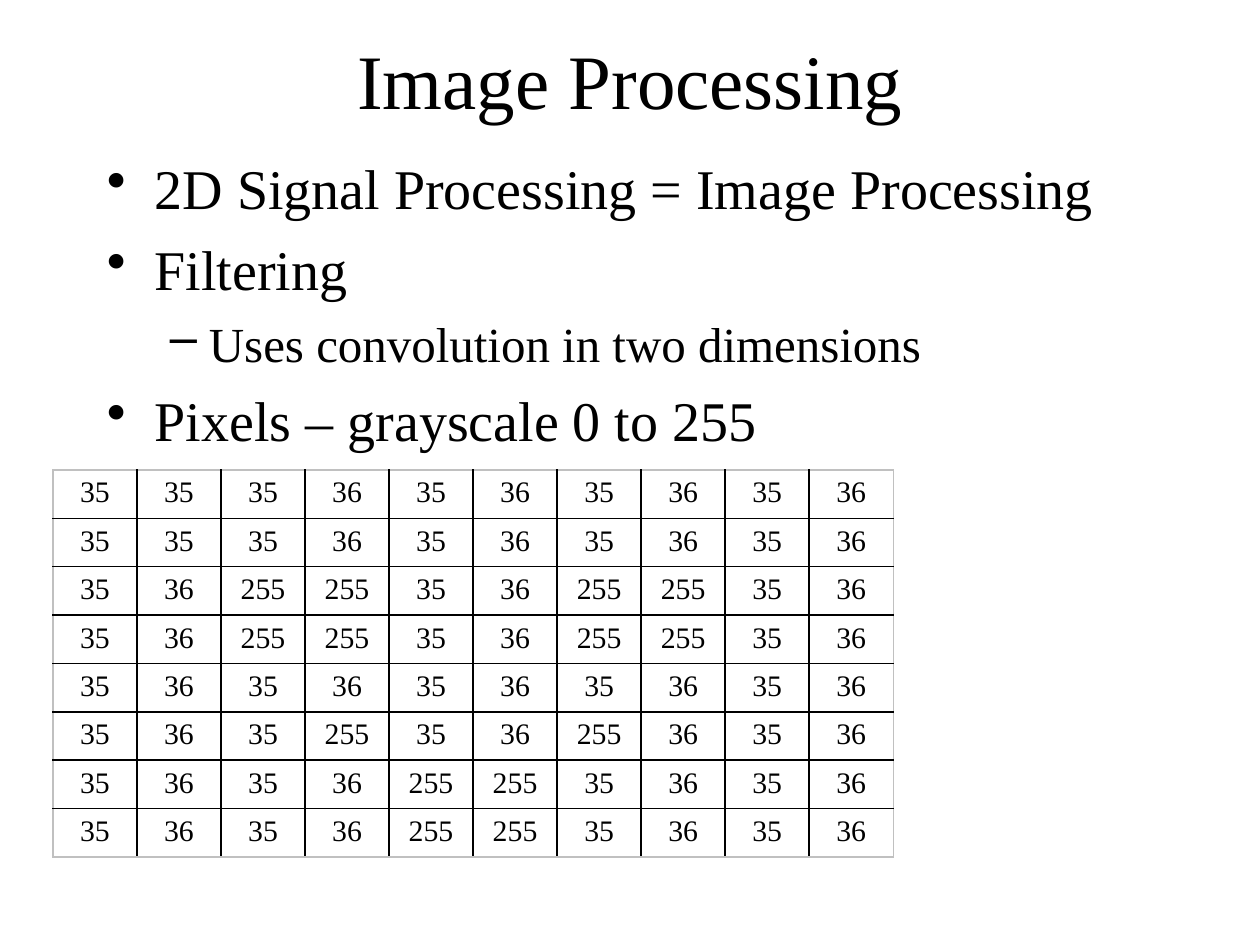
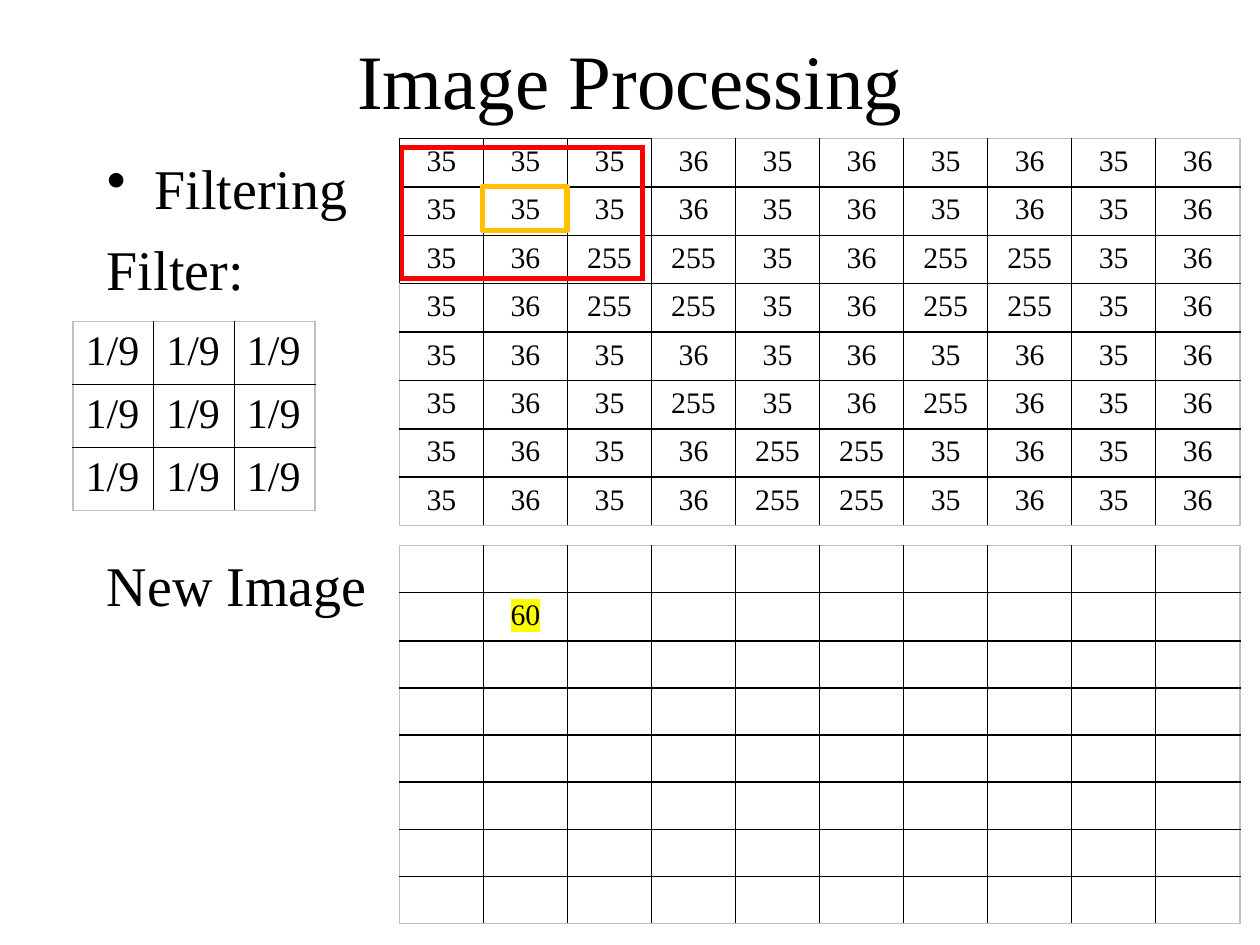
import pptx
import pptx.dml.color
import pptx.enum.shapes
import pptx.enum.text
import pptx.oxml
import pptx.oxml.ns
import pptx.util
from pptx.util import Inches

FONT = "Times New Roman"
BLACK, GRAY, RED, AMBER, YELLOW = "000000", "C0C0C0", "FF0000", "FFC000", "FFFF00"
CENTER = pptx.enum.text.PP_ALIGN.CENTER
LEFT = pptx.enum.text.PP_ALIGN.LEFT

TITLE = "Image Processing"
# Bullet, left margin, hanging indent, size
LEVELS = {
    "main": ("•", 0.38, 0.38, 32),
    "sub": ("–", 0.81, 0.31, 28),
    "plain": (None, 0, 0, 32),
}
OVERVIEW = [
    ("main", "2D Signal Processing = Image Processing"),
    ("main", "Filtering"),
    ("sub", "Uses convolution in two dimensions"),
    ("main", "Pixels – grayscale 0 to 255"),
]
FILTERING = [("main", "Filtering"), ("plain", "Filter:"), ("plain", "New Image")]
NEW_IMAGE_GAP = 142.5

PIXELS = [
    [35, 35, 35, 36, 35, 36, 35, 36, 35, 36],
    [35, 35, 35, 36, 35, 36, 35, 36, 35, 36],
    [35, 36, 255, 255, 35, 36, 255, 255, 35, 36],
    [35, 36, 255, 255, 35, 36, 255, 255, 35, 36],
    [35, 36, 35, 36, 35, 36, 35, 36, 35, 36],
    [35, 36, 35, 255, 35, 36, 255, 36, 35, 36],
    [35, 36, 35, 36, 255, 255, 35, 36, 35, 36],
    [35, 36, 35, 36, 255, 255, 35, 36, 35, 36],
]
KERNEL = [["1/9"] * 3 for _ in range(3)]
NEW_PIXELS = [[""] * 10 for _ in range(8)]
NEW_PIXELS[1][1] = 60
GRID_SIZE = (6.67, 2.99)


def rgb(color):
    return pptx.dml.color.RGBColor.from_string(color)


def format_runs(paragraph, size):
    for run in paragraph.runs:
        run.font.name = FONT
        run.font.size = pptx.util.Pt(size)
        run.font.color.rgb = rgb(BLACK)


def add_element(parent, tag, **attributes):
    element = pptx.oxml.parse_xml(f"<a:{tag} {pptx.oxml.ns.nsdecls('a')}/>")
    for name, value in attributes.items():
        element.set(name, str(value))
    parent.append(element)
    return element


def add_text_box(slide, left, top, width, height):
    text_frame = slide.shapes.add_textbox(
        Inches(left), Inches(top), Inches(width), Inches(height)).text_frame
    text_frame.word_wrap = True
    return text_frame


def add_title(slide):
    text_frame = add_text_box(slide, 0.75, 0, 8.5, 1.25)
    text_frame.vertical_anchor = pptx.enum.text.MSO_ANCHOR.MIDDLE
    text_frame.text = TITLE
    text_frame.paragraphs[0].alignment = CENTER
    format_runs(text_frame.paragraphs[0], 44)


def add_body(slide, lines):
    text_frame = add_text_box(slide, 0.75, 1.17, 8.5, 5.5)
    text_frame.text = "\n".join(text for _, text in lines)
    for paragraph, (level, text) in zip(text_frame.paragraphs, lines):
        bullet, margin, hanging, size = LEVELS[level]
        gap = NEW_IMAGE_GAP if text == "New Image" else size * 0.24
        paragraph.space_before = pptx.util.Pt(gap)
        format_runs(paragraph, size)
        if bullet:
            properties = paragraph._p.get_or_add_pPr()
            properties.set("marL", str(Inches(margin)))
            properties.set("indent", str(-Inches(hanging)))
            add_element(properties, "buChar", char=bullet)


def set_border(cell, side, color, width):
    line = add_element(cell._tc.get_or_add_tcPr(), "ln" + side, w=pptx.util.Pt(width))
    add_element(add_element(line, "solidFill"), "srgbClr", val=color)


def add_grid(slide, values, place, size=17, alignment=CENTER,
             inner=BLACK, outer=GRAY, line_width=1, window=0):
    """Add a ruled table; the outer edge of the first `window` rows and columns is inner."""
    rows, columns = len(values), len(values[0])
    left, top, width, height = place
    table_shape = slide.shapes.add_table(
        rows, columns, Inches(left), Inches(top), Inches(width), Inches(height))
    table = table_shape.table
    table.first_row = table.horz_banding = False
    for r, row in enumerate(values):
        for c, value in enumerate(row):
            cell = table.cell(r, c)
            cell.text = str(value)
            if value == "":
                cell.margin_top = cell.margin_bottom = 0
            paragraph = cell.text_frame.paragraphs[0]
            paragraph.alignment = alignment
            format_runs(paragraph, size)
            in_window = r < window and c < window
            edges = {"L": c == 0, "R": c == columns - 1, "T": r == 0, "B": r == rows - 1}
            for side, is_outer in edges.items():
                color = outer if is_outer and not in_window else inner
                set_border(cell, side, color, line_width)
            cell.fill.background()
    return table


def highlight(cell, color):
    properties = cell.text_frame.paragraphs[0].runs[0].font._element
    mark = add_element(properties, "highlight")
    add_element(mark, "srgbClr", val=color)
    properties.find(pptx.oxml.ns.qn("a:latin")).addprevious(mark)


def add_pixel_frame(slide, left, top, width, height):
    frame = slide.shapes.add_shape(
        pptx.enum.shapes.MSO_SHAPE.RECTANGLE,
        Inches(left), Inches(top), Inches(width), Inches(height))
    frame.shadow.inherit = False
    frame.fill.background()
    frame.line.color.rgb = rgb(AMBER)
    frame.line.width = pptx.util.Pt(3)


def add_slide(presentation, lines):
    slide = presentation.slides.add_slide(presentation.slide_layouts[6])
    add_title(slide)
    add_body(slide, lines)
    return slide


def main():
    presentation = pptx.Presentation()
    presentation.slide_width, presentation.slide_height = Inches(10), Inches(7.5)

    overview = add_slide(presentation, OVERVIEW)
    add_grid(overview, PIXELS, (0.42, 3.73, *GRID_SIZE))

    filtering = add_slide(presentation, FILTERING)
    add_grid(filtering, PIXELS, (3.17, 1.1, *GRID_SIZE), window=3)
    add_grid(filtering, KERNEL, (0.58, 2.55, 1.92, 1.41), size=24, alignment=LEFT)
    new_image = add_grid(filtering, NEW_PIXELS, (3.17, 4.33, *GRID_SIZE))
    highlight(new_image.cell(1, 1), YELLOW)
    add_grid(filtering, [[""]], (3.19, 1.17, 1.91, 1.04), outer=RED, line_width=3)
    add_pixel_frame(filtering, 3.83, 1.48, 0.67, 0.35)

    presentation.save("out.pptx")


if __name__ == "__main__":
    main()
